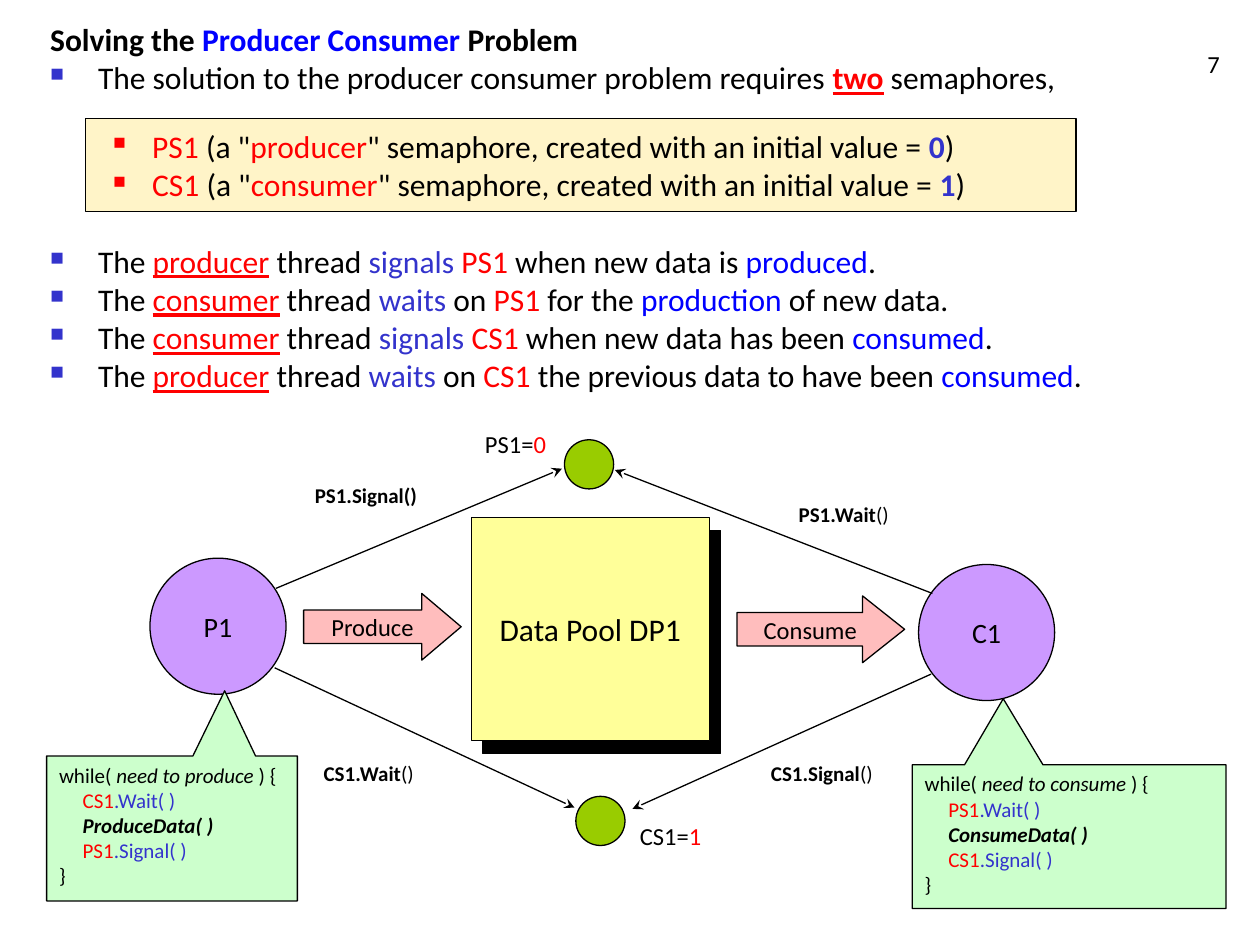
from dataclasses import dataclass
from lxml.etree import SubElement
from pptx import Presentation
from pptx.dml.color import RGBColor
from pptx.enum.shapes import MSO_CONNECTOR as CONN, MSO_SHAPE as SHAPE
from pptx.enum.text import MSO_ANCHOR as ANCHOR, PP_ALIGN as ALIGN
from pptx.oxml.ns import qn
from pptx.util import Inches, Pt


@dataclass(frozen=True)
class Theme:
    font: str = "Calibri"
    black: str = "000000"
    red: str = "FF0000"
    blue: str = "0000FF"
    indigo: str = "3333CC"
    cream: str = "FFF4C8"
    yellow: str = "FFFF99"
    violet: str = "CC99FF"
    pink: str = "FFBDBD"
    lime: str = "99CC00"
    mint: str = "CCFFCC"
    body: int = 18
    node: int = 16
    label: int = 14
    code: int = 12
    line: float = 0.75


@dataclass(frozen=True)
class Box:
    x: float
    y: float
    w: float
    h: float

    def inner(self, x, y, w, h):
        return Box(self.x + x, self.y + y, w, h)

    def emu(self):
        return [cell(v) for v in (self.x, self.y, self.w, self.h)]


T = Theme()
COLS, ROWS = 100, 75
WIDTH = Inches(10)
COLORS = {"black": T.black, "red": T.red, "blue": T.blue, "indigo": T.indigo}


def cell(n):
    return round(n * WIDTH / COLS)


def write(p, runs, size):
    for text, *style in runs:
        r = p.add_run()
        r.text = text
        f = r.font
        f.name, f.size = T.font, Pt(size)
        name = next((n for n in style if n in COLORS), "black")
        f.color.rgb = RGBColor.from_string(COLORS[name])
        f.bold = "bold" in style
        f.italic = "italic" in style
        f.underline = "underline" in style


def fill_text(sp, lines, size, align=ALIGN.LEFT, anchor=ANCHOR.TOP, wrap=True):
    tf = sp.text_frame
    tf.word_wrap, tf.vertical_anchor = wrap, anchor
    for i, runs in enumerate(lines):
        p = tf.add_paragraph() if i else tf.paragraphs[0]
        p.alignment = align
        write(p, runs, size)
    return tf


def add_text(s, box, lines, size, **layout):
    return fill_text(s.shapes.add_textbox(*box.emu()), lines, size, **layout)


def add_figure(s, kind, box, fill, text=None, size=T.node):
    sp = s.shapes.add_shape(kind, *box.emu())
    sp.shadow.inherit = False
    sp.fill.solid()
    sp.fill.fore_color.rgb = RGBColor.from_string(fill)
    sp.line.color.rgb = RGBColor.from_string(T.black)
    sp.line.width = Pt(T.line)
    if text:
        fill_text(sp, [[(text,)]], size, ALIGN.CENTER, ANCHOR.MIDDLE, False)
    return sp


def add_arrow(s, box, start, end):
    (x1, y1), (x2, y2) = start, end
    points = (box.x + x1, box.y + y1, box.x + x2, box.y + y2)
    c = s.shapes.add_connector(CONN.STRAIGHT, *map(cell, points))
    c.line.color.rgb = RGBColor.from_string(T.black)
    c.line.width = Pt(T.line)
    spPr = c._element.spPr
    SubElement(spPr.find(qn("a:ln")), qn("a:tailEnd"), type="stealth")
    SubElement(spPr, qn("a:effectLst"))


def set_bullet(p, left, hang, color, percent):
    pPr = p._p.get_or_add_pPr()
    pPr.set("marL", str(cell(left)))
    pPr.set("indent", str(-cell(hang)))
    SubElement(SubElement(pPr, qn("a:buClr")), qn("a:srgbClr"), val=color)
    SubElement(pPr, qn("a:buSzPct"), val=str(percent * 1000))
    SubElement(pPr, qn("a:buChar"), char="■")


def semaphore(name, actor, value):
    return [(name, "red"), (' (a "',), (actor, "red"),
            ('" semaphore, created with an initial value = ',),
            (value, "indigo", "bold"), (")",)]


def duty(actor, verb, link, name, reason, event, ending="."):
    return [("The ",), (actor, "red", "underline"), (" thread ",), (verb, "indigo"),
            (link,), (name, "red"), (reason,), (event, "blue"), (ending,)]


def explanation(s, box):
    add_figure(s, SHAPE.RECTANGLE, box.inner(3.8, 7.7, 78.6, 7.4), T.cream)
    title = [("Solving the ", "bold"), ("Producer Consumer", "blue", "bold"),
             (" Problem", "bold")]
    intro = [("The solution to the producer consumer problem requires ",),
             ("two", "red", "bold", "underline"), (" semaphores,",)]
    semaphores = [semaphore("PS1", "producer", "0"), semaphore("CS1", "consumer", "1")]
    duties = [
        duty("producer", "signals", " ", "PS1", " when new data is ", "produced"),
        duty("consumer", "waits", " on ", "PS1", " for the ", "production", " of new data."),
        duty("consumer", "signals", " ", "CS1", " when new data has been ", "consumed"),
        duty("producer", "waits", " on ", "CS1", " the previous data to have been ", "consumed"),
    ]
    tf = add_text(s, box, [title, intro, *semaphores, *duties], T.body)
    gaps = {0: 0, 2: 22, 4: 26.5}
    for i, p in enumerate(tf.paragraphs):
        if i in (2, 3):
            set_bullet(p, 8.1, 3.1, T.red, 55)
        elif i:
            set_bullet(p, 3.8, 3.8, T.indigo, 60)
        p.line_spacing = 0.8
        p.space_before = Pt(gaps.get(i, 4.5))


def data_pool(s, box):
    add_figure(s, SHAPE.RECTANGLE, box.inner(0.9, 1, box.w, box.h), T.black)
    add_figure(s, SHAPE.RECTANGLE, box, T.yellow, "Data Pool DP1", T.body)


def threads(s, box):
    for x, y, name in ((11.9, 10.8, "P1"), (72.9, 11.3, "C1")):
        add_figure(s, SHAPE.OVAL, box.inner(x, y, 10.8, 10.8), T.violet, name)
    for x, y, w, head, name in ((24.1, 13.6, 12.5, 0.59, "Produce"),
                                (58.5, 13.8, 13.3, 0.63, "Consume")):
        sp = add_figure(s, SHAPE.RIGHT_ARROW, box.inner(x, y, w, 5.3), T.pink, name, T.label)
        sp.adjustments[1] = head


def semaphore_nodes(s, box):
    for x, y, dx, dy, name, value in ((44.8, 1.4, -7.3, -1.3, "PS1=", "0"),
                                      (45.7, 29.7, 4.1, 1.5, "CS1=", "1")):
        add_figure(s, SHAPE.OVAL, box.inner(x, y, 3.9, 3.9), T.lime)
        add_text(s, box.inner(x + dx, y + dy, 8.2, 3.4), [[(name,), (value, "red")]], T.label)


def calls(s, box):
    for start, end in (((21.9, 13.2), (44.6, 3.7)), ((21.8, 19.5), (45.6, 30.6)),
                       ((74, 13.6), (48.8, 3.8)), ((73.9, 20), (50.2, 30.7))):
        add_arrow(s, box, start, end)
    for x, y, name, *style in ((24, 4.3, "PS1.Signal", "bold"), (62.4, 5.8, "PS1.Wait"),
                               (60.2, 26.4, "CS1.Signal"), (24.7, 26.4, "CS1.Wait")):
        add_text(s, box.inner(x, y, 11.9, 3), [[(name, "bold"), ("()", *style)]], T.code)


def thread_code(s, box, tip, verb, waited, signalled):
    sp = add_figure(s, SHAPE.RECTANGULAR_CALLOUT, box, T.mint)
    sp.adjustments[0], sp.adjustments[1] = tip
    pad = " " * 5
    fill_text(sp, [
        [("while( ",), (f"need to {verb}", "italic"), (" ) {",)],
        [(pad + waited, "red"), (".Wait( )", "indigo")],
        [(f"{pad}{verb.title()}Data( )", "bold", "italic")],
        [(pad + signalled, "red"), (".Signal( )", "indigo")],
        [("}",)],
    ], T.code)


def diagram(s, box):
    data_pool(s, box.inner(37.4, 7.6, 18.9, 17.7))
    threads(s, box)
    semaphore_nodes(s, box)
    calls(s, box)
    thread_code(s, box.inner(3.7, 26.5, 19.9, 11.5), (0.21, -0.95), "produce", "CS1", "PS1")
    thread_code(s, box.inner(72.4, 27.2, 24.9, 11.4), (-0.21, -0.96), "consume", "PS1", "CS1")


def main():
    prs = Presentation()
    prs.slide_width, prs.slide_height = WIDTH, cell(ROWS)
    s = prs.slides.add_slide(prs.slide_layouts[6])
    add_text(s, Box(77, 1.7, 20.8, 5), [[("7",)]], T.label,
             align=ALIGN.RIGHT, anchor=ANCHOR.BOTTOM)
    explanation(s, Box(3, 1.7, 93.6, 36.3))
    diagram(s, Box(0, 33.5, COLS, 41.5))
    prs.save("out.pptx")


if __name__ == "__main__":
    main()
